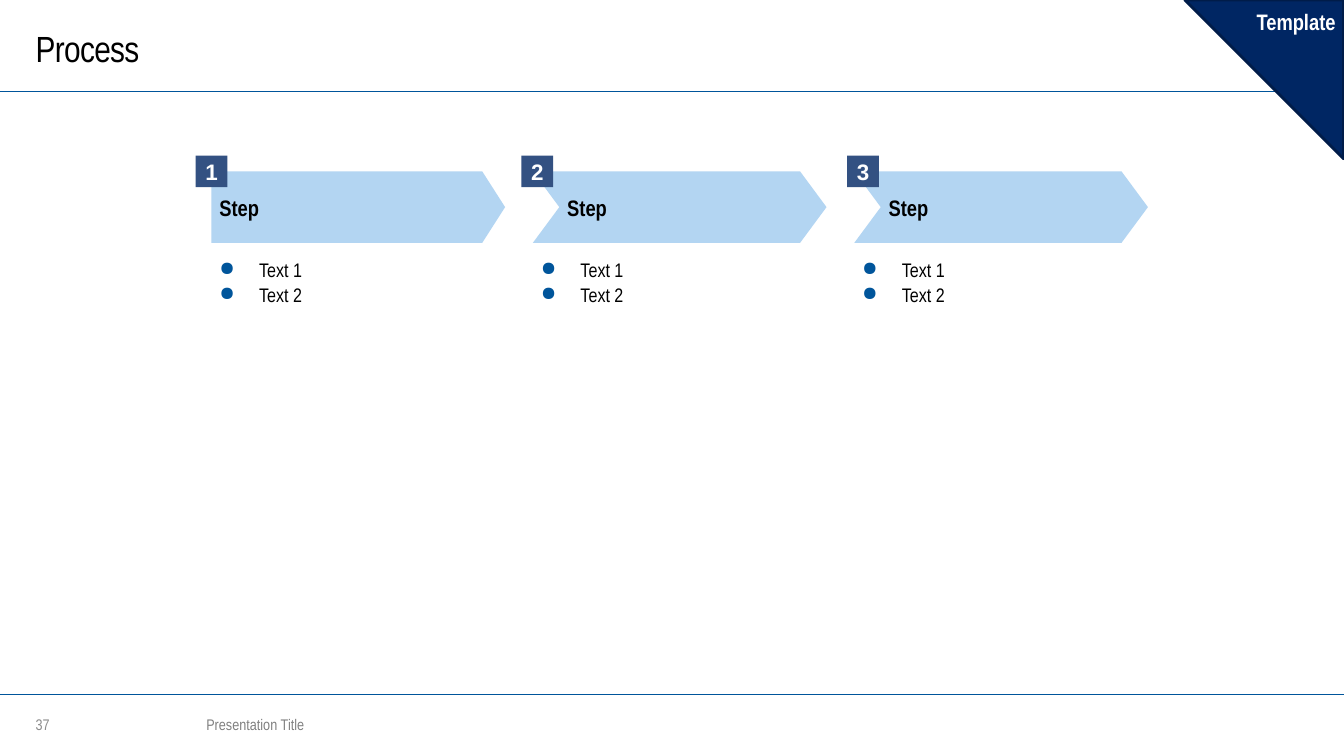
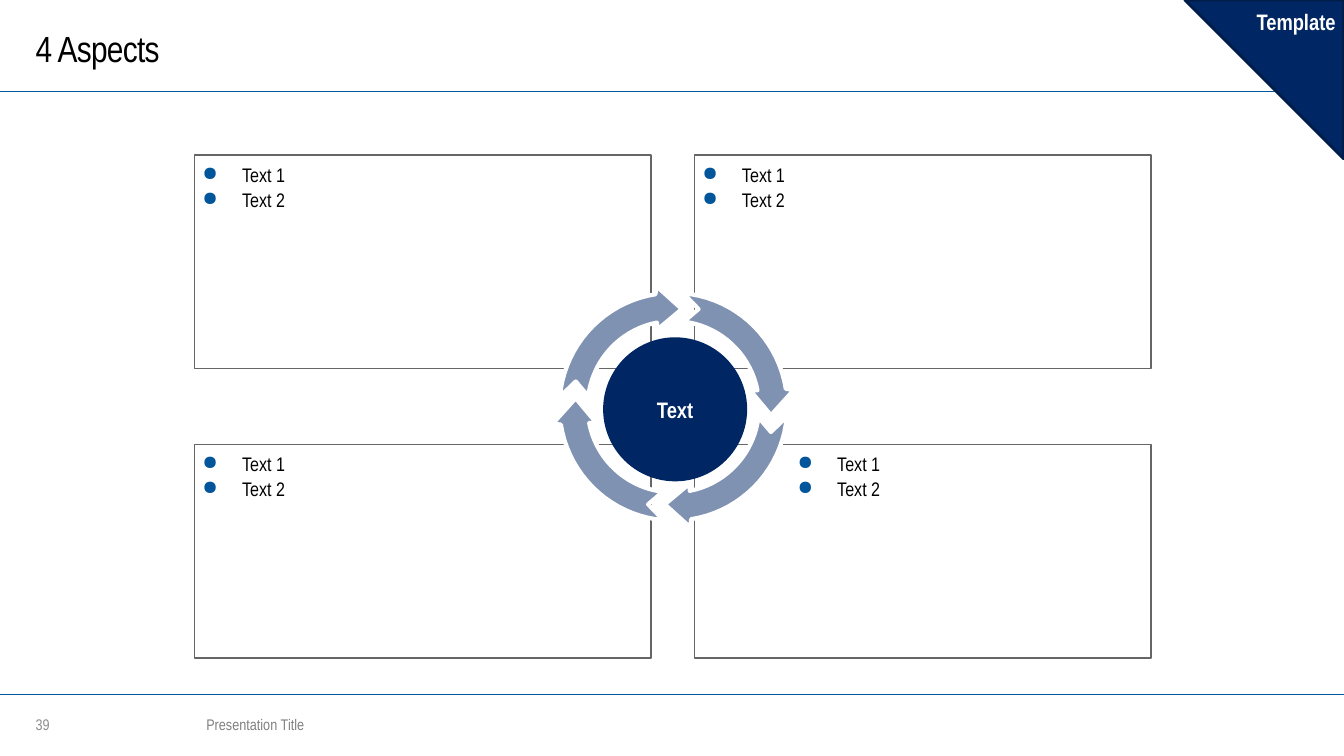
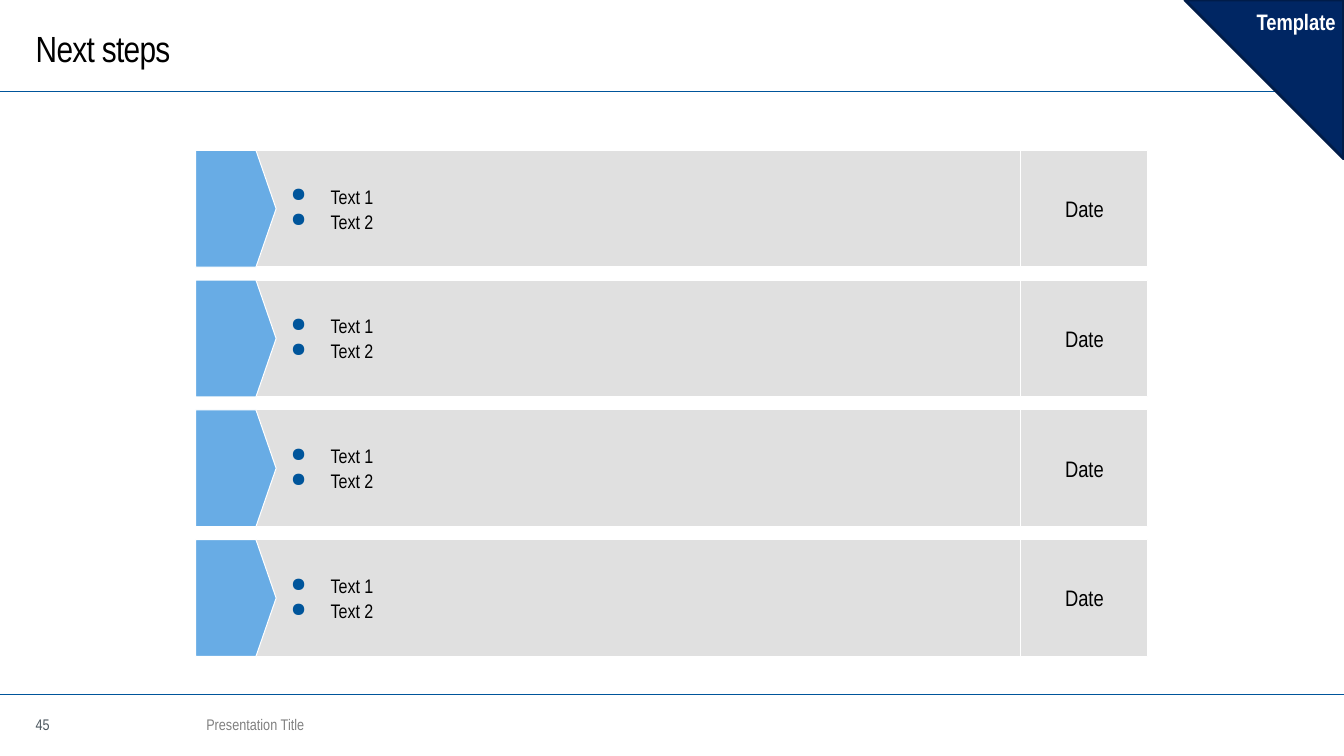
import math
from dataclasses import dataclass

import lxml.etree
import pptx
import pptx.dml.color
import pptx.enum.shapes
import pptx.enum.text
import pptx.oxml.ns
import pptx.presentation
import pptx.shapes.autoshape
import pptx.slide
import pptx.text.text
import pptx.util

Cm = pptx.util.Cm
Pt = pptx.util.Pt
Preset = pptx.enum.shapes.MSO_SHAPE
Align = pptx.enum.text.PP_ALIGN
Anchor = pptx.enum.text.MSO_ANCHOR
qn = pptx.oxml.ns.qn

SLIDE_WIDTH, SLIDE_HEIGHT = 33.87, 19.05
NAVY, NAVY_EDGE, BLUE = "002663", "001C49", "00559B"
BADGE_BLUE, STEP_BLUE, TAB_BLUE, RING_BLUE = "335182", "B3D5F2", "68ACE5", "7F92B1"
WHITE, BLACK, BOX_EDGE, ROW_GREY = "FFFFFF", "000000", "666666", "E0E0E0"
FOOTER_GREY, NUMBER_GREY, NUMBER_DARK = "808080", "8C8C8C", "4C575F"
PADDING = 0.2
BULLET_INDENT = 1.0
BULLET_TEXTS = ("Text 1", "Text 2")


@dataclass(frozen=True)
class Box:
    """A rectangle in centimetres."""
    left: float
    top: float
    width: float
    height: float

    def lengths(self) -> tuple[int, int, int, int]:
        return Cm(self.left), Cm(self.top), Cm(self.width), Cm(self.height)


@dataclass(frozen=True)
class Line:
    color: str
    points: float


@dataclass(frozen=True)
class TextStyle:
    size: float
    color: str = BLACK
    bold: bool = False
    font: str = "Arial Narrow"


@dataclass(frozen=True)
class Step:
    number: str
    preset: Preset
    notch: float


@dataclass(frozen=True)
class Aspect:
    column: int
    row: int
    text_inset: float = PADDING


TITLE_STYLE = TextStyle(26)
BULLET_STYLE = TextStyle(14)
STEP_STYLE = TextStyle(16, bold=True)
DATE_STYLE = TextStyle(16)
WHITE_STYLE = TextStyle(16, WHITE, bold=True)
BADGE_STYLE = TextStyle(16, WHITE, bold=True, font="Arial")

STEPS = (
    Step("1", Preset.PENTAGON, 0.32),
    Step("2", Preset.CHEVRON, 0.37),
    Step("3", Preset.CHEVRON, 0.37),
)
ASPECTS = (Aspect(1, 0), Aspect(1, 1, 2.6), Aspect(0, 0), Aspect(0, 1))

RING_CENTER = (16.97, 10.25)
RING_OUTER, RING_INNER = 2.87, 2.16


def rgb(color: str) -> pptx.dml.color.RGBColor:
    return pptx.dml.color.RGBColor.from_string(color)


def paint(shape: pptx.shapes.autoshape.Shape, fill: str, line: Line | None = None) -> None:
    shape.shadow.inherit = False
    shape.fill.solid()
    shape.fill.fore_color.rgb = rgb(fill)
    if line is None:
        shape.line.fill.background()
    else:
        shape.line.color.rgb = rgb(line.color)
        shape.line.width = Pt(line.points)


def add_preset(slide: pptx.slide.Slide, preset: Preset, box: Box, fill: str,
               line: Line | None = None,
               adjustment: float | None = None) -> pptx.shapes.autoshape.Shape:
    shape = slide.shapes.add_shape(preset, *box.lengths())
    paint(shape, fill, line)
    if adjustment is not None:
        shape.adjustments[0] = adjustment
    return shape


def prepare_frame(shape: pptx.shapes.autoshape.Shape, anchor: Anchor = Anchor.MIDDLE,
                  padding: float = PADDING, left: float | None = None,
                  wrap: bool = True) -> pptx.text.text.TextFrame:
    frame = shape.text_frame
    frame.auto_size = pptx.enum.text.MSO_AUTO_SIZE.NONE
    frame.word_wrap = wrap
    frame.vertical_anchor = anchor
    frame.margin_left = Cm(padding if left is None else left)
    frame.margin_top = frame.margin_right = frame.margin_bottom = Cm(padding)
    return frame


def add_run(paragraph: pptx.text.text._Paragraph, text: str,
            style: TextStyle) -> pptx.text.text._Run:
    run = paragraph.add_run()
    run.text = text
    run.font.name = style.font
    run.font.size = Pt(style.size)
    run.font.bold = style.bold
    run.font.color.rgb = rgb(style.color)
    return run


def write_line(frame: pptx.text.text.TextFrame, text: str, style: TextStyle,
               alignment: Align = Align.LEFT) -> pptx.text.text._Run:
    paragraph = frame.paragraphs[0]
    paragraph.alignment = alignment
    return add_run(paragraph, text, style)


def write_bullets(frame: pptx.text.text.TextFrame) -> None:
    for index, text in enumerate(BULLET_TEXTS):
        paragraph = frame.add_paragraph() if index else frame.paragraphs[0]
        properties = paragraph._p.get_or_add_pPr()
        properties.set("marL", str(Cm(BULLET_INDENT)))
        properties.set("indent", str(-Cm(BULLET_INDENT)))
        bullet_color = lxml.etree.SubElement(properties, qn("a:buClr"))
        lxml.etree.SubElement(bullet_color, qn("a:srgbClr"), val=BLUE)
        lxml.etree.SubElement(properties, qn("a:buChar"), char="●")
        paragraph.alignment = Align.LEFT
        if index:
            paragraph.space_before = Pt(1)
        add_run(paragraph, text, BULLET_STYLE)


def add_text_box(slide: pptx.slide.Slide, box: Box, text: str, style: TextStyle) -> None:
    shape = slide.shapes.add_textbox(*box.lengths())
    write_line(prepare_frame(shape, padding=0), text, style)


def add_rule(slide: pptx.slide.Slide, top: float) -> None:
    rule = slide.shapes.add_connector(pptx.enum.shapes.MSO_CONNECTOR.STRAIGHT,
                                      Cm(0), Cm(top), Cm(SLIDE_WIDTH), Cm(top))
    rule.line.color.rgb = rgb(BLUE)
    rule.line.width = Pt(1)
    lxml.etree.SubElement(rule._element.spPr, qn("a:effectLst"))


def add_framed_slide(presentation: pptx.presentation.Presentation, title: str,
                     number: str, number_color: str = NUMBER_GREY) -> pptx.slide.Slide:
    """Add a slide with its title, rules and footer."""
    slide = presentation.slides.add_slide(presentation.slide_layouts[5])
    for top in (17.5, 2.31):
        add_rule(slide, top)
    heading = slide.shapes.title
    heading.left, heading.top, heading.width, heading.height = Box(
        0.9, 0.1, 26.14, 2.2).lengths()
    run = write_line(prepare_frame(heading, padding=0), title, TITLE_STYLE)
    run.font._element.set("spc", "-50")
    add_text_box(slide, Box(0.9, 17.9, 0.95, 0.7), number, TextStyle(11, number_color))
    add_text_box(slide, Box(5.2, 17.9, 17.32, 0.7), "Presentation Title",
                 TextStyle(11, FOOTER_GREY))
    return slide


def add_corner_flag(slide: pptx.slide.Slide) -> None:
    side = 4.0
    flag = add_preset(slide, Preset.ISOSCELES_TRIANGLE,
                      Box(SLIDE_WIDTH - side - 0.01, 0, side, side),
                      NAVY, Line(NAVY_EDGE, 2), 1)
    flag.rotation = 270
    frame = prepare_frame(flag, Anchor.TOP, wrap=False)
    frame._txBody.bodyPr.set("vert", "vert")
    write_line(frame, "Template", WHITE_STYLE, Align.RIGHT)


def add_ring_arrow(slide: pptx.slide.Slide, turn: float) -> None:
    """Draw a quarter of the ring, turned clockwise by the given degrees."""
    def point(radius: float, degrees: float) -> tuple[int, int]:
        angle = math.radians(degrees + turn)
        return (Cm(RING_CENTER[0] + radius * math.sin(angle)),
                Cm(RING_CENTER[1] - radius * math.cos(angle)))

    outer_arc = [point(RING_OUTER, degrees) for degrees in range(5, 82, 4)]
    head = [point(3.07, 82), point(2.47, 95), point(1.98, 78)]
    inner_arc = [point(RING_INNER, degrees) for degrees in range(79, 6, -4)]
    tail_notch = [point(2.54, 14.5)]
    outline = outer_arc + head + inner_arc + tail_notch
    builder = slide.shapes.build_freeform(*outline[0])
    builder.add_line_segments(outline[1:], close=True)
    paint(builder.convert_to_shape(), RING_BLUE, Line(WHITE, 3))


def build_process(presentation: pptx.presentation.Presentation) -> None:
    slide = add_framed_slide(presentation, "Process", "37")
    for index, step in enumerate(STEPS):
        left = 5.33 + 8.1 * index
        arrow = add_preset(slide, step.preset, Box(left, 4.32, 7.4, 1.8),
                           STEP_BLUE, adjustment=step.notch)
        write_line(prepare_frame(arrow), "Step", STEP_STYLE)
        badge = add_preset(slide, Preset.RECTANGLE,
                           Box(4.93 + 8.21 * index, 3.92, 0.8, 0.8), BADGE_BLUE)
        write_line(prepare_frame(badge, padding=0), step.number, BADGE_STYLE, Align.CENTER)
        details = slide.shapes.add_textbox(*Box(left, 6.3, 6.8, 1.63).lengths())
        write_bullets(prepare_frame(details, Anchor.TOP))
    add_corner_flag(slide)


def build_aspects(presentation: pptx.presentation.Presentation) -> None:
    slide = add_framed_slide(presentation, "4 Aspects", "39")
    for aspect in ASPECTS:
        box = Box(4.9 + 12.6 * aspect.column, 3.91 + 7.29 * aspect.row, 11.51, 5.38)
        panel = add_preset(slide, Preset.RECTANGLE, box, WHITE, Line(BOX_EDGE, 1))
        write_bullets(prepare_frame(panel, Anchor.TOP, left=aspect.text_inset))
    for turn in range(0, 360, 90):
        add_ring_arrow(slide, turn)
    hub = add_preset(slide, Preset.OVAL, Box(15.2, 8.5, 3.63, 3.63), NAVY)
    write_line(prepare_frame(hub, wrap=False), "Text", WHITE_STYLE, Align.CENTER)
    add_corner_flag(slide)


def build_next_steps(presentation: pptx.presentation.Presentation) -> None:
    slide = add_framed_slide(presentation, "Next steps", "45", NUMBER_DARK)
    edge = Line(WHITE, 0.75)
    left, row_height, text_width = 4.93, 2.94, 20.8
    for index in range(4):
        top = 3.79 + 3.27 * index
        row = add_preset(slide, Preset.RECTANGLE, Box(left, top, text_width, row_height),
                         ROW_GREY, edge)
        write_bullets(prepare_frame(row, left=2.4))
        add_preset(slide, Preset.PENTAGON, Box(left, top, 2.03, row_height),
                   TAB_BLUE, edge, 0.25)
        date = add_preset(slide, Preset.RECTANGLE,
                          Box(left + text_width, top, 3.2, row_height), ROW_GREY, edge)
        write_line(prepare_frame(date), "Date", DATE_STYLE, Align.CENTER)
    add_corner_flag(slide)


def main() -> None:
    presentation = pptx.Presentation()
    presentation.slide_width = Cm(SLIDE_WIDTH)
    presentation.slide_height = Cm(SLIDE_HEIGHT)
    build_process(presentation)
    build_aspects(presentation)
    build_next_steps(presentation)
    presentation.save("out.pptx")


if __name__ == "__main__":
    main()
